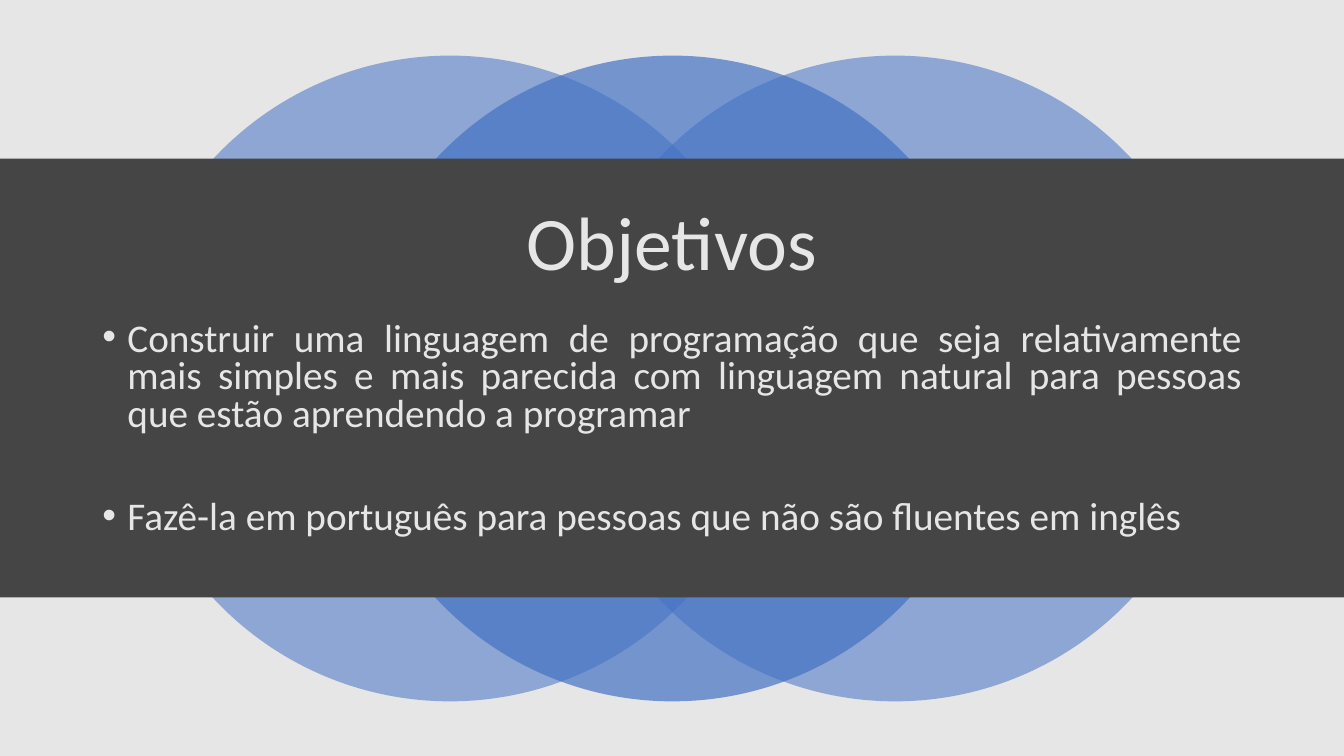
from dataclasses import dataclass

import lxml.etree
import pptx
import pptx.dml.color
import pptx.enum.shapes
import pptx.enum.text
import pptx.oxml.ns
import pptx.shapes.autoshape
import pptx.slide
import pptx.text.text
import pptx.util

RGBColor = pptx.dml.color.RGBColor
Shape = pptx.shapes.autoshape.Shape
MSO_SHAPE = pptx.enum.shapes.MSO_SHAPE
PP_ALIGN = pptx.enum.text.PP_ALIGN
MSO_ANCHOR = pptx.enum.text.MSO_ANCHOR

LIGHT_GRAY = RGBColor(0xE7, 0xE6, 0xE6)
DARK_GRAY = RGBColor(0x45, 0x45, 0x45)
BLUE = RGBColor(0x44, 0x72, 0xC4)

EMU_PER_PX = 9525
SLIDE_WIDTH, SLIDE_HEIGHT = 1280, 720
CIRCLE_LEFT, CIRCLE_TOP, CIRCLE_SIZE, CIRCLE_STEP = 121, 53, 615, 212
BAND_TOP, BAND_HEIGHT = 151, 418
TEXT_LEFT, TEXT_WIDTH = 88, 1104
BULLET_INDENT = 24


@dataclass(frozen=True)
class Box:
    left: int
    top: int
    width: int
    height: int

    def emu(self) -> tuple[int, int, int, int]:
        return px(self.left), px(self.top), px(self.width), px(self.height)


@dataclass(frozen=True)
class Circle:
    column: int
    opacity: int


@dataclass(frozen=True)
class Objective:
    text: str
    space_before: int


CIRCLES = [Circle(0, 55), Circle(2, 55), Circle(1, 70)]
OBJECTIVES = [
    Objective(
        "Construir uma linguagem de programação que seja relativamente mais simples "
        "e mais parecida com linguagem natural para pessoas que estão aprendendo a programar",
        10,
    ),
    Objective("Fazê-la em português para pessoas que não são fluentes em inglês", 47),
]


def px(length: int) -> int:
    return length * EMU_PER_PX


def add_filled(
    slide: pptx.slide.Slide, kind: MSO_SHAPE, box: Box, color: RGBColor, opacity: int = 100
) -> None:
    shape = slide.shapes.add_shape(kind, *box.emu())
    shape.shadow.inherit = False
    shape.line.fill.background()
    shape.fill.solid()
    shape.fill.fore_color.rgb = color
    if opacity < 100:
        srgb = shape._element.spPr.find(".//" + pptx.oxml.ns.qn("a:srgbClr"))
        alpha = lxml.etree.SubElement(srgb, pptx.oxml.ns.qn("a:alpha"))
        alpha.set("val", str(opacity * 1000))


def add_text_frame(
    slide: pptx.slide.Slide, box: Box, anchor: MSO_ANCHOR
) -> pptx.text.text.TextFrame:
    frame = slide.shapes.add_textbox(*box.emu()).text_frame
    frame.word_wrap = True
    frame.vertical_anchor = anchor
    return frame


def style_paragraph(
    paragraph: pptx.text.text._Paragraph, size: int, alignment: PP_ALIGN, line_spacing: float
) -> None:
    paragraph.alignment = alignment
    paragraph.line_spacing = line_spacing
    paragraph.font.name = "Calibri"
    paragraph.font.size = pptx.util.Pt(size)
    paragraph.font.color.rgb = LIGHT_GRAY


def add_bullet(paragraph: pptx.text.text._Paragraph) -> None:
    properties = paragraph._p.get_or_add_pPr()
    properties.set("marL", str(px(BULLET_INDENT)))
    properties.set("indent", str(-px(BULLET_INDENT)))
    bullet_font = pptx.oxml.parse_xml(
        f'<a:buFont {pptx.oxml.ns.nsdecls("a")} typeface="Arial"/>'
    )
    bullet = pptx.oxml.parse_xml(f'<a:buChar {pptx.oxml.ns.nsdecls("a")} char="•"/>')
    default_run = properties.find(pptx.oxml.ns.qn("a:defRPr"))
    default_run.addprevious(bullet_font)
    default_run.addprevious(bullet)


def add_title(slide: pptx.slide.Slide) -> None:
    frame = add_text_frame(slide, Box(TEXT_LEFT, 185, TEXT_WIDTH, 98), MSO_ANCHOR.MIDDLE)
    title = frame.paragraphs[0]
    title.text = "Objetivos"
    style_paragraph(title, 54, PP_ALIGN.CENTER, 0.9)


def add_objectives(slide: pptx.slide.Slide) -> None:
    frame = add_text_frame(slide, Box(TEXT_LEFT, 302, TEXT_WIDTH, 222), MSO_ANCHOR.TOP)
    for index, objective in enumerate(OBJECTIVES):
        paragraph = frame.add_paragraph() if index else frame.paragraphs[0]
        paragraph.text = objective.text
        style_paragraph(paragraph, 28, PP_ALIGN.JUSTIFY, 0.8)
        paragraph.space_before = pptx.util.Pt(objective.space_before)
        add_bullet(paragraph)


def main() -> None:
    presentation = pptx.Presentation()
    presentation.slide_width = px(SLIDE_WIDTH)
    presentation.slide_height = px(SLIDE_HEIGHT)
    slide = presentation.slides.add_slide(presentation.slide_layouts[6])
    slide.background.fill.solid()
    slide.background.fill.fore_color.rgb = DARK_GRAY

    add_filled(slide, MSO_SHAPE.RECTANGLE, Box(0, 0, SLIDE_WIDTH, SLIDE_HEIGHT), LIGHT_GRAY)
    for circle in CIRCLES:
        left = CIRCLE_LEFT + circle.column * CIRCLE_STEP
        box = Box(left, CIRCLE_TOP, CIRCLE_SIZE, CIRCLE_SIZE)
        add_filled(slide, MSO_SHAPE.OVAL, box, BLUE, circle.opacity)
    add_filled(slide, MSO_SHAPE.RECTANGLE, Box(0, BAND_TOP, SLIDE_WIDTH, BAND_HEIGHT), DARK_GRAY)
    add_title(slide)
    add_objectives(slide)
    presentation.save("out.pptx")


if __name__ == "__main__":
    main()
